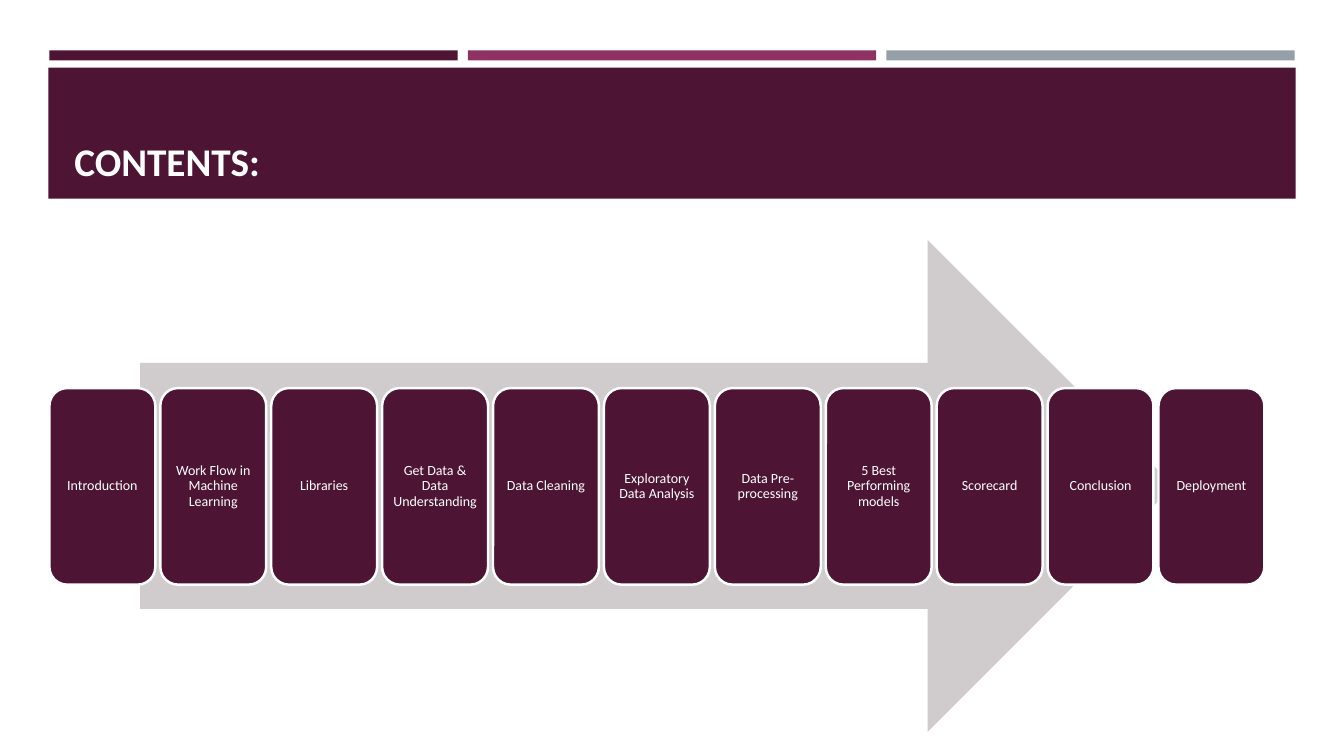
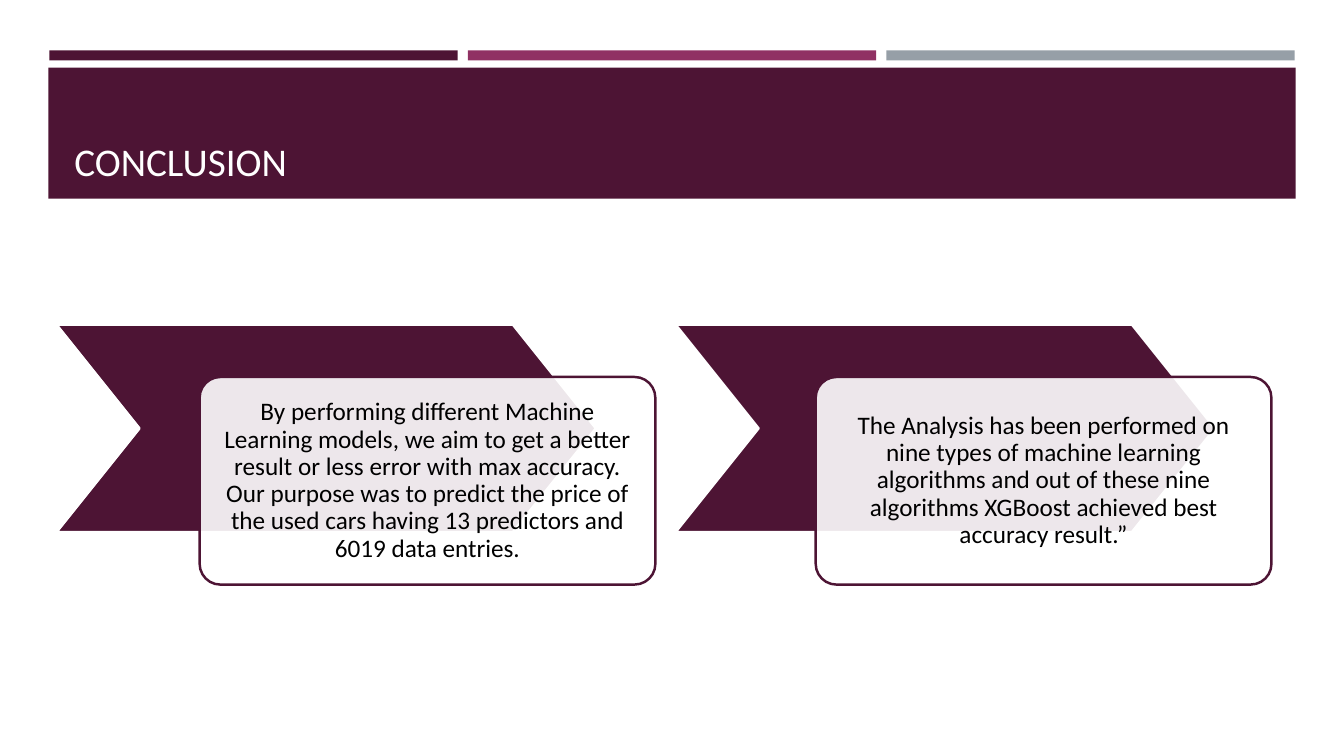
from lxml.etree import SubElement
from pptx import Presentation
from pptx.dml.color import RGBColor
from pptx.enum.shapes import MSO_SHAPE as Shape
from pptx.enum.text import MSO_ANCHOR as Anchor, PP_ALIGN as Align
from pptx.oxml.ns import qn
from pptx.util import Inches, Pt

PLUM = RGBColor(0x4D, 0x14, 0x34)
MAGENTA = RGBColor(0x90, 0x31, 0x63)
SLATE = RGBColor(0x96, 0x9F, 0xA7)
PALE_GREY = RGBColor(0xD0, 0xCC, 0xCE)
WHITE = RGBColor(0xFF, 0xFF, 0xFF)
BLACK = RGBColor(0, 0, 0)
FONT = "Calibri"

TOPICS = [
    "Introduction",
    "Work Flow in Machine Learning",
    "Libraries",
    "Get Data & Data Understanding",
    "Data Cleaning",
    "Exploratory Data Analysis",
    "Data Pre-processing",
    "5 Best Performing models",
    "Scorecard",
    "Conclusion",
    "Deployment",
]
FINDINGS = [
    "By performing different Machine Learning models, we aim to get a better "
    "result or less error with max accuracy. Our purpose was to predict the "
    "price of the used cars having 13 predictors and 6019 data entries.",
    "The Analysis has been performed on nine types of machine learning "
    "algorithms and out of these nine algorithms XGBoost achieved best "
    "accuracy result.”",
]


def add_block(slide, kind, left, top, width, height, fill, line=None, adjust=None):
    block = slide.shapes.add_shape(
        kind, Inches(left), Inches(top), Inches(width), Inches(height))
    block.shadow.inherit = False
    block.fill.solid()
    block.fill.fore_color.rgb = fill
    if line is None:
        block.line.fill.background()
    else:
        block.line.color.rgb = line
        block.line.width = Pt(1.75)
    if adjust is not None:
        block.adjustments[0] = adjust
    return block


def set_opacity(block, percent):
    color = block.fill._xPr.find(qn("a:solidFill"))[0]
    SubElement(color, qn("a:alpha"), val=str(percent * 1000))


def style_run(paragraph, size, color, bold=False):
    font = paragraph.runs[0].font
    font.name = FONT
    font.size = Pt(size)
    font.color.rgb = color
    font.bold = bold


def write_centred(block, text, size, color, inset):
    frame = block.text_frame
    frame.word_wrap = True
    frame.vertical_anchor = Anchor.MIDDLE
    frame.margin_left = frame.margin_right = Inches(inset)
    frame.margin_top = frame.margin_bottom = Inches(inset)
    frame.text = text
    paragraph = frame.paragraphs[0]
    paragraph.alignment = Align.CENTER
    paragraph.line_spacing = 0.9
    style_run(paragraph, size, color)


def add_titled_slide(deck, title, bold=False):
    slide = deck.slides.add_slide(deck.slide_layouts[6])
    for index, color in enumerate((PLUM, MAGENTA, SLATE)):
        add_block(slide, Shape.RECTANGLE, 0.49 + index * 4.15, 0.5, 4.05, 0.1, color)
    add_block(slide, Shape.RECTANGLE, 0.48, 0.67, 12.37, 1.3, PLUM)
    heading = slide.shapes.add_textbox(
        Inches(0.64), Inches(0.77), Inches(12.06), Inches(1.11))
    frame = heading.text_frame
    frame.word_wrap = True
    frame.vertical_anchor = Anchor.BOTTOM
    frame.text = title
    frame.paragraphs[0].line_spacing = 0.9
    style_run(frame.paragraphs[0], 28, WHITE, bold)
    return slide


def add_topic(slide, index, text):
    card = add_block(slide, Shape.ROUNDED_RECTANGLE,
                     0.49 + index * 1.1, 3.85, 1.05, 1.95, PLUM, WHITE)
    write_centred(card, text, 10, WHITE, 0.04)


def add_finding(slide, chevron_left, card_left, text):
    add_block(slide, Shape.CHEVRON, chevron_left, 3.22, 5.35, 2.06, PLUM, WHITE, 0.4)
    card = add_block(slide, Shape.ROUNDED_RECTANGLE,
                     card_left, 3.74, 4.52, 2.06, WHITE, PLUM, 0.1)
    set_opacity(card, 90)
    write_centred(card, text, 18, BLACK, 0.14)


def main():
    deck = Presentation()
    deck.slide_width = Inches(13.33)
    deck.slide_height = Inches(7.5)

    contents = add_titled_slide(deck, "CONTENTS:", bold=True)
    add_block(contents, Shape.RIGHT_ARROW, 1.39, 2.38, 10.25, 4.88, PALE_GREY)
    for index, topic in enumerate(TOPICS):
        add_topic(contents, index, topic)

    conclusion = add_titled_slide(deck, "CONCLUSION")
    for index, finding in enumerate(FINDINGS):
        add_finding(conclusion, 0.56 + index * 6.14, 1.98 + index * 6.11, finding)

    deck.save("out.pptx")


if __name__ == "__main__":
    main()
